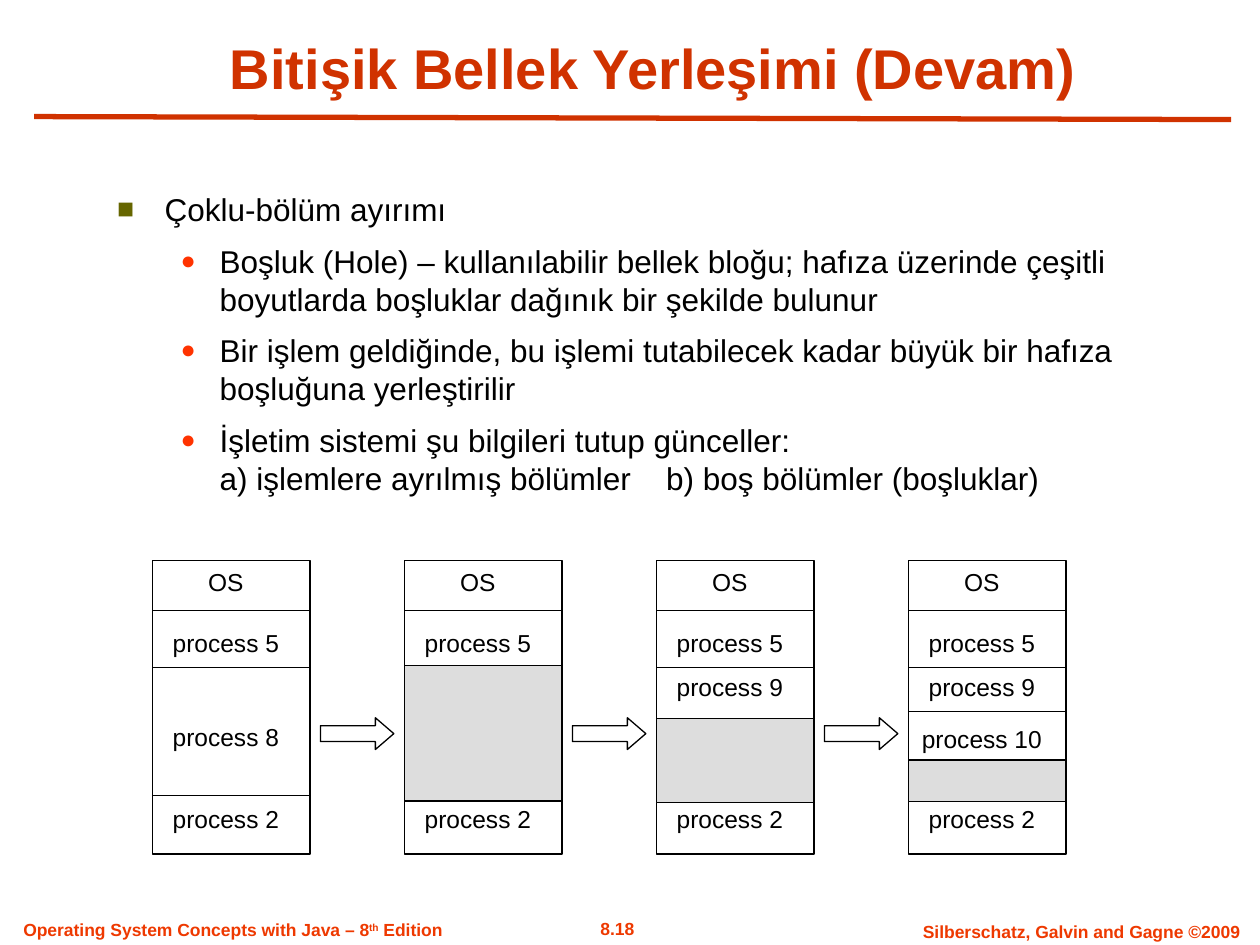
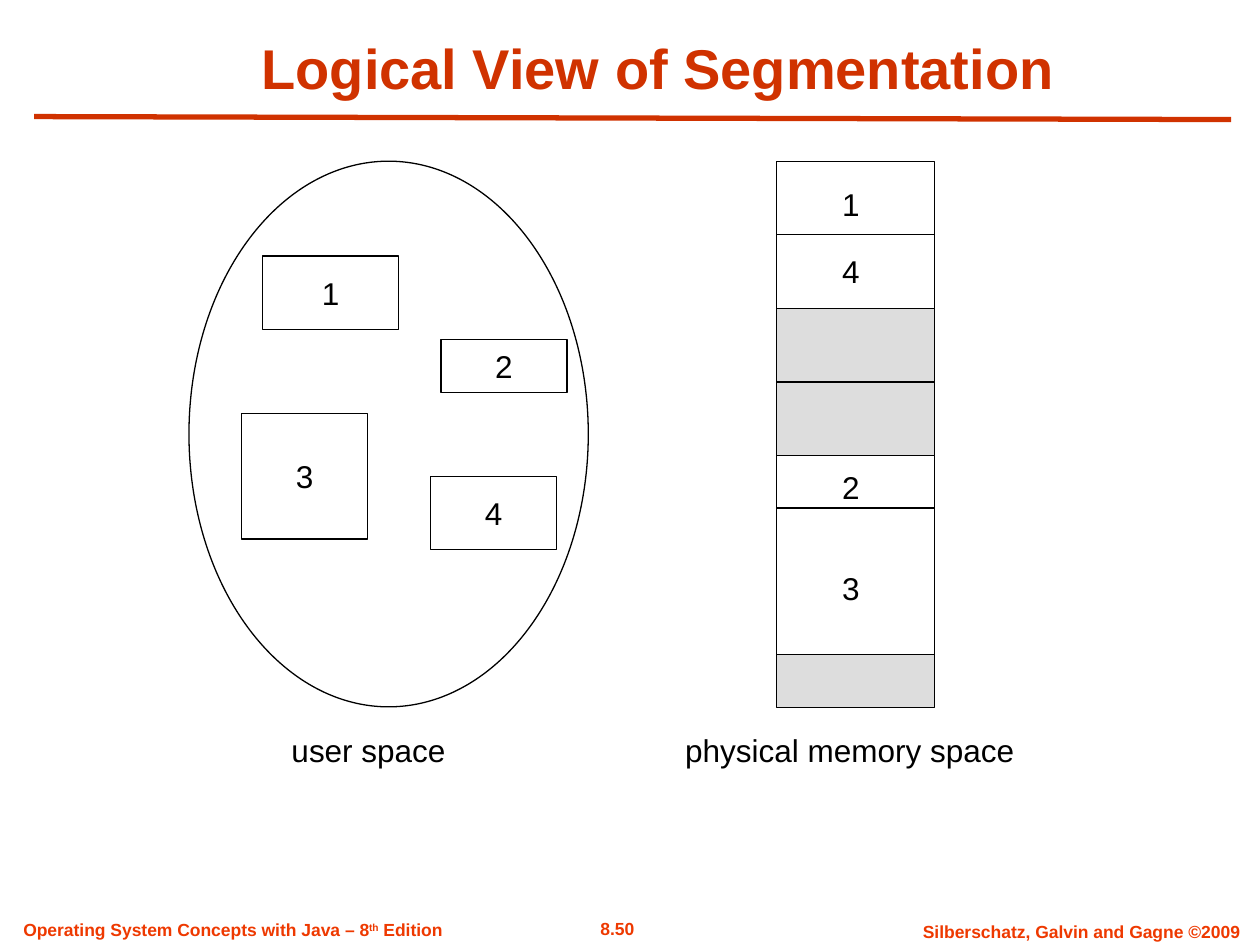
from dataclasses import dataclass

from lxml.etree import SubElement
from pptx import Presentation
from pptx.dml.color import RGBColor
from pptx.enum.shapes import MSO_CONNECTOR, MSO_SHAPE
from pptx.enum.text import MSO_ANCHOR, PP_ALIGN
from pptx.oxml.ns import qn
from pptx.util import Cm, Pt

FONT = "Arial"
BLACK = RGBColor(0x00, 0x00, 0x00)
WHITE = RGBColor(0xFF, 0xFF, 0xFF)
HOLE_GREY = RGBColor(0xDD, 0xDD, 0xDD)
TITLE_RED = RGBColor(0xD0, 0x32, 0x00)
FOOTER_RED = RGBColor(0xEE, 0x39, 0x00)
BULLET_OLIVE = RGBColor(0x66, 0x66, 0x00)
BULLET_RED = RGBColor(0xFF, 0x33, 0x00)


@dataclass(frozen=True)
class BulletStyle:
    level: int
    symbol: str
    color: RGBColor
    percent: int
    margin: float
    hanging: float


@dataclass(frozen=True)
class Label:
    text: str
    top: float


@dataclass(frozen=True)
class MemoryState:
    """One memory column: its labels, extra dividers and free hole (top, height)."""
    labels: tuple[Label, ...]
    dividers: tuple[float, ...] = ()
    hole: tuple[float, float] | None = None


@dataclass(frozen=True)
class Block:
    text: str
    left: float
    top: float
    width: float
    height: float
    fill: RGBColor = WHITE


TOPIC = BulletStyle(0, "■", BULLET_OLIVE, 90, 0.96, 0.96)
DETAIL = BulletStyle(1, "●", BULLET_RED, 80, 2.07, 0.79)

BULLETS = (
    (TOPIC, "Çoklu-bölüm ayırımı"),
    (DETAIL, "Boşluk (Hole) – kullanılabilir bellek bloğu; hafıza üzerinde çeşitli "
             "boyutlarda boşluklar dağınık bir şekilde bulunur"),
    (DETAIL, "Bir işlem geldiğinde, bu işlemi tutabilecek kadar büyük bir hafıza "
             "boşluğuna yerleştirilir"),
    (DETAIL, "İşletim sistemi şu bilgileri tutup günceller:\v"
             "a) işlemlere ayrılmış bölümler\tb) boş bölümler (boşluklar)"),
)
SECOND_ITEM_TAB = 11.07

# Memory columns on the first slide
COLUMN_LEFT, COLUMN_TOP, COLUMN_STEP = 3.07, 11.3, 5.08
COLUMN_WIDTH, COLUMN_HEIGHT = 3.18, 5.92
LABEL_WIDTH, LABEL_HEIGHT = 2.97, 0.86
COMMON_DIVIDERS = (12.31, 13.46, 16.03)
COMMON_LABELS = (Label("OS", 11.3), Label("process 5", 12.52), Label("process 2", 16.08))
PROCESS_9 = Label("process 9", 13.41)
STATES = (
    MemoryState((Label("process 8", 14.43),)),
    MemoryState((), hole=(13.41, 2.74)),
    MemoryState((PROCESS_9,), hole=(14.48, 1.7)),
    MemoryState((PROCESS_9, Label("process 10", 14.47)), (14.35,), (15.32, 0.84)),
)

# Segments on the second slide
USER_SEGMENTS = (
    Block("1", 5.29, 5.16, 2.75, 1.48),
    Block("3", 4.87, 8.33, 2.54, 2.54),
    Block("2", 8.89, 6.85, 2.54, 1.06),
    Block("4", 8.68, 9.6, 2.54, 1.48),
)
MEMORY_LEFT, MEMORY_WIDTH = 15.66, 3.18
MEMORY_AREAS = (
    Block("", MEMORY_LEFT, 3.25, MEMORY_WIDTH, 2.97),
    Block("", MEMORY_LEFT, 6.22, MEMORY_WIDTH, 2.97, HOLE_GREY),
    Block("", MEMORY_LEFT, 9.18, MEMORY_WIDTH, 4.02),
    Block("", MEMORY_LEFT, 13.2, MEMORY_WIDTH, 1.07, HOLE_GREY),
)
MEMORY_DIVIDERS = (4.73, 7.7, 10.24)
MEMORY_LABELS = (Label("1", 3.6), Label("4", 4.95), Label("2", 9.3), Label("3", 11.34))


def add_span(para, text: str, *, size: float, color=BLACK, bold=False):
    """Append formatted text to a paragraph."""
    span = para.add_run()
    span.text = text
    span.font.name = FONT
    span.font.size = Pt(size)
    span.font.bold = bold
    span.font.color.rgb = color
    return span


def add_text(shapes, text: str, left: float, top: float, width: float, height: float, *,
             size: float, color=BLACK, bold=False, align=PP_ALIGN.CENTER,
             anchor=MSO_ANCHOR.MIDDLE):
    """Add a text box with one line and return its paragraph."""
    frame = shapes.add_textbox(Cm(left), Cm(top), Cm(width), Cm(height)).text_frame
    frame.word_wrap = True
    frame.vertical_anchor = anchor
    para = frame.paragraphs[0]
    para.alignment = align
    add_span(para, text, size=size, color=color, bold=bold)
    return para


def add_box(shapes, kind: MSO_SHAPE, block: Block):
    """Add an outlined shape, with centred text if it has any."""
    box = shapes.add_shape(kind, Cm(block.left), Cm(block.top),
                           Cm(block.width), Cm(block.height))
    box.shadow.inherit = False
    box.fill.solid()
    box.fill.fore_color.rgb = block.fill
    box.line.color.rgb = BLACK
    box.line.width = Pt(0.75)
    if block.text:
        box.text_frame.word_wrap = False
        box.text_frame.vertical_anchor = MSO_ANCHOR.MIDDLE
        para = box.text_frame.paragraphs[0]
        para.alignment = PP_ALIGN.CENTER
        add_span(para, block.text, size=18)
    return box


def add_line(shapes, start: tuple[float, float], end: tuple[float, float], *,
             color=BLACK, width: float = 0.75) -> None:
    line = shapes.add_connector(MSO_CONNECTOR.STRAIGHT, Cm(start[0]), Cm(start[1]),
                                Cm(end[0]), Cm(end[1]))
    line.line.color.rgb = color
    line.line.width = Pt(width)
    SubElement(line._element.spPr, qn("a:effectLst"))


def add_divider(shapes, left: float, top: float, width: float) -> None:
    add_line(shapes, (left, top), (left + width, top))


def set_bullet(para, style: BulletStyle) -> None:
    para.level = style.level
    properties = para._p.get_or_add_pPr()
    properties.set("marL", str(Cm(style.margin)))
    properties.set("indent", str(-Cm(style.hanging)))
    color = SubElement(properties, qn("a:buClr"))
    SubElement(color, qn("a:srgbClr"), val=str(style.color))
    SubElement(properties, qn("a:buSzPct"), val=str(style.percent * 1000))
    SubElement(properties, qn("a:buFont"), typeface=FONT)
    SubElement(properties, qn("a:buChar"), char=style.symbol)
    tabs = SubElement(properties, qn("a:tabLst"))
    SubElement(tabs, qn("a:tab"), pos=str(Cm(SECOND_ITEM_TAB)), algn="l")


def add_bullets(page) -> None:
    frame = page.shapes.add_textbox(Cm(2.11), Cm(3.71), Cm(20.93), Cm(7.24)).text_frame
    frame.word_wrap = True
    for index, (style, text) in enumerate(BULLETS):
        para = frame.add_paragraph() if index else frame.paragraphs[0]
        para.space_before = Pt(7.9)
        set_bullet(para, style)
        for number, line in enumerate(text.split("\v")):
            if number:
                para.add_line_break()
            add_span(para, line, size=18)


def add_page(deck, title: str, title_left: float, number: str):
    """Add a blank slide with the shared footers, rule and title."""
    page = deck.slides.add_slide(deck.slide_layouts[6])
    shapes = page.shapes
    footer = dict(size=10, color=FOOTER_RED, bold=True)
    add_text(shapes, number, 11.2, 18.38, 2.49, 0.69, **footer)
    add_text(shapes, "Silberschatz, Galvin and Gagne ©2009",
             18.03, 18.44, 7.54, 0.69, **footer)
    para = add_text(shapes, "Operating System Concepts with Java – 8",
                    0.22, 18.39, 10, 0.69, align=PP_ALIGN.LEFT, **footer)
    ordinal = add_span(para, "th", **footer)
    ordinal.font._element.set("baseline", "30000")
    add_span(para, " Edition", **footer)
    add_line(shapes, (0.69, 2.35), (24.82, 2.41), color=TITLE_RED, width=3)
    add_text(shapes, title, title_left, 0.56, 24.13 - title_left, 1.6, size=32,
             color=TITLE_RED, bold=True, anchor=MSO_ANCHOR.BOTTOM)
    return page


def add_memory_column(shapes, left: float, state: MemoryState) -> None:
    add_box(shapes, MSO_SHAPE.RECTANGLE,
            Block("", left, COLUMN_TOP, COLUMN_WIDTH, COLUMN_HEIGHT))
    for top in COMMON_DIVIDERS + state.dividers:
        add_divider(shapes, left, top, COLUMN_WIDTH)
    if state.hole:
        top, height = state.hole
        add_box(shapes, MSO_SHAPE.RECTANGLE,
                Block("", left, top, COLUMN_WIDTH, height, HOLE_GREY))
    for label in COMMON_LABELS + state.labels:
        add_text(shapes, label.text, left, label.top, LABEL_WIDTH, LABEL_HEIGHT, size=14)


def build_allocation_page(deck) -> None:
    page = add_page(deck, "Bitişik Bellek Yerleşimi (Devam)", 2.21, "8.18")
    add_bullets(page)
    for index, state in enumerate(STATES):
        left = COLUMN_LEFT + index * COLUMN_STEP
        add_memory_column(page.shapes, left, state)
        if index < len(STATES) - 1:
            arrow = add_box(page.shapes, MSO_SHAPE.RIGHT_ARROW,
                            Block("", left + 3.39, 14.47, 1.48, 0.64))
            arrow.adjustments[1] = 0.58


def build_segmentation_page(deck) -> None:
    page = add_page(deck, "Logical View of Segmentation", 2.41, "8.50")

    # User space
    add_box(page.shapes, MSO_SHAPE.OVAL, Block("", 3.81, 3.25, 8.05, 11.0))
    for segment in USER_SEGMENTS:
        add_box(page.shapes, MSO_SHAPE.RECTANGLE, segment)

    # Physical memory
    memory = page.shapes.add_group_shape().shapes
    for area in MEMORY_AREAS:
        add_box(memory, MSO_SHAPE.RECTANGLE, area)
    for top in MEMORY_DIVIDERS:
        add_divider(memory, MEMORY_LEFT, top, MEMORY_WIDTH)
    for label in MEMORY_LABELS:
        add_text(memory, label.text, 16.72, label.top, 0.87, 1.02, size=18)

    # Captions
    add_text(page.shapes, "user space", 5.54, 14.61, 3.78, 1.02, size=18)
    add_text(page.shapes, "physical memory space", 13.06, 14.61, 8.14, 1.02, size=18)


def main() -> None:
    deck = Presentation()
    deck.slide_width, deck.slide_height = Cm(25.4), Cm(19.05)
    build_allocation_page(deck)
    build_segmentation_page(deck)
    deck.save("out.pptx")


if __name__ == "__main__":
    main()
